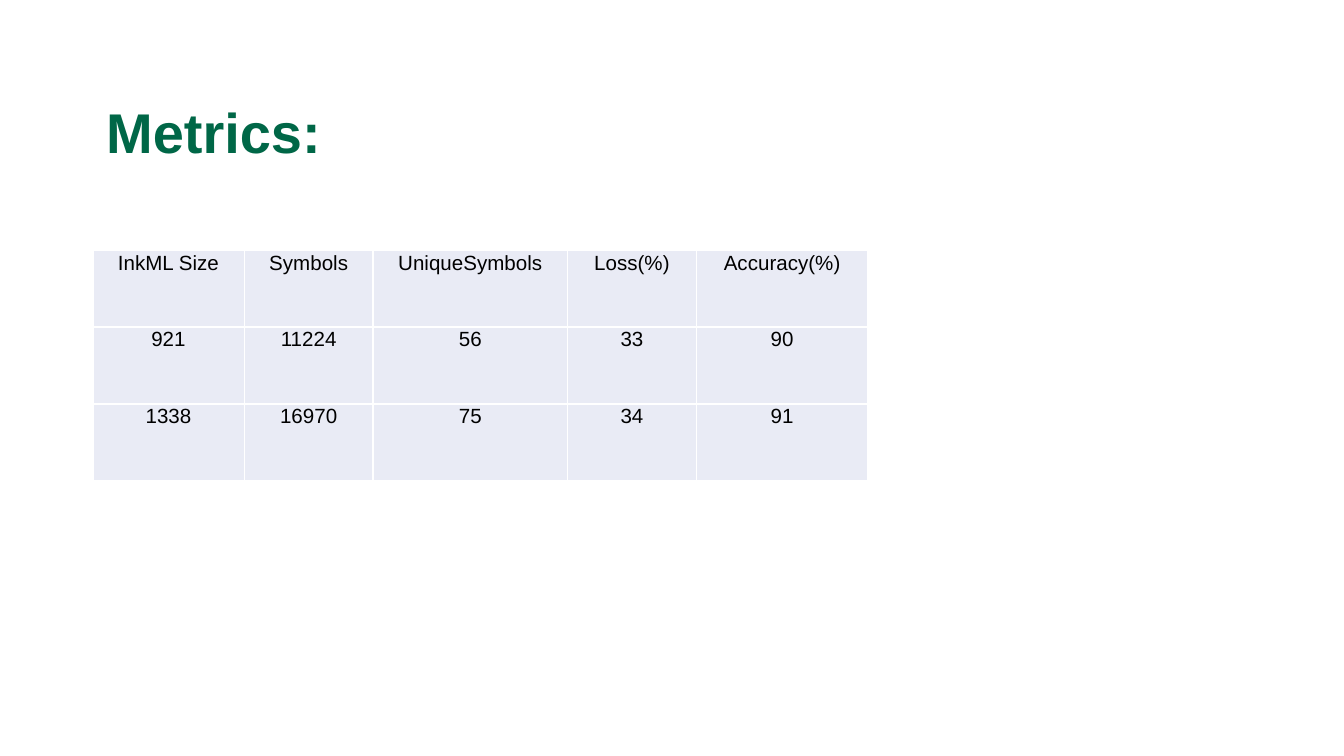
from lxml import etree
from pptx import Presentation
from pptx.dml.color import RGBColor
from pptx.enum import text
from pptx.oxml import ns
from pptx.util import Pt

TITLE = "Metrics:"
ROWS = [
    ("InkML Size", "Symbols", "UniqueSymbols", "Loss(%)", "Accuracy(%)"),
    ("921", "11224", "56", "33", "90"),
    ("1338", "16970", "75", "34", "91"),
]
COLUMN_WIDTHS = [81.2, 69, 104.2, 69, 92]
ROW_HEIGHT = 41.2
LEFT = 49.7
TABLE_TOP = 134

GREEN = RGBColor(0x00, 0x67, 0x47)
BLACK = RGBColor(0x00, 0x00, 0x00)
WHITE = RGBColor(0xFF, 0xFF, 0xFF)
PALE_BLUE = RGBColor(0xE9, 0xEB, 0xF5)


def style_font(font, size, color, bold):
    font.name = "Arial"
    font.size = Pt(size)
    font.bold = bold
    font.color.rgb = color


def add_borders(cell, color, width):
    properties = cell._tc.get_or_add_tcPr()
    for side in ("a:lnL", "a:lnR", "a:lnT", "a:lnB"):
        line = etree.SubElement(properties, ns.qn(side), w=str(Pt(width)))
        fill = etree.SubElement(line, ns.qn("a:solidFill"))
        etree.SubElement(fill, ns.qn("a:srgbClr"), val=str(color))


def add_title(slide):
    title = slide.shapes.title
    title.left, title.top, title.width, title.height = Pt(LEFT), Pt(45.4), Pt(620.6), Pt(54.7)
    frame = title.text_frame
    frame.text = TITLE
    frame.word_wrap = True
    frame.auto_size = text.MSO_AUTO_SIZE.NONE
    frame.vertical_anchor = text.MSO_ANCHOR.MIDDLE
    paragraph = frame.paragraphs[0]
    paragraph.alignment = text.PP_ALIGN.LEFT
    paragraph.line_spacing = 0.9
    style_font(paragraph.font, 30, GREEN, True)


def fill_cell(cell, value):
    cell.text = value
    cell.margin_left = cell.margin_top = cell.margin_right = Pt(0.75)
    cell.margin_bottom = Pt(0)
    cell.vertical_anchor = text.MSO_ANCHOR.TOP
    add_borders(cell, WHITE, 1)
    cell.fill.solid()
    cell.fill.fore_color.rgb = PALE_BLUE
    paragraph = cell.text_frame.paragraphs[0]
    paragraph.alignment = text.PP_ALIGN.CENTER
    style_font(paragraph.font, 11, BLACK, False)


def add_metrics_table(slide):
    table = slide.shapes.add_table(
        len(ROWS), len(COLUMN_WIDTHS), Pt(LEFT), Pt(TABLE_TOP),
        Pt(sum(COLUMN_WIDTHS)), Pt(ROW_HEIGHT * len(ROWS)),
    ).table
    table.first_row = False
    table.horz_banding = False
    for column, width in zip(table.columns, COLUMN_WIDTHS):
        column.width = Pt(width)
    for row, values in zip(table.rows, ROWS):
        row.height = Pt(ROW_HEIGHT)
        for cell, value in zip(row.cells, values):
            fill_cell(cell, value)


def main():
    presentation = Presentation()
    presentation.slide_width = Pt(720)
    presentation.slide_height = Pt(405)
    slide = presentation.slides.add_slide(presentation.slide_layouts[5])
    add_title(slide)
    add_metrics_table(slide)
    presentation.save("out.pptx")


if __name__ == "__main__":
    main()
